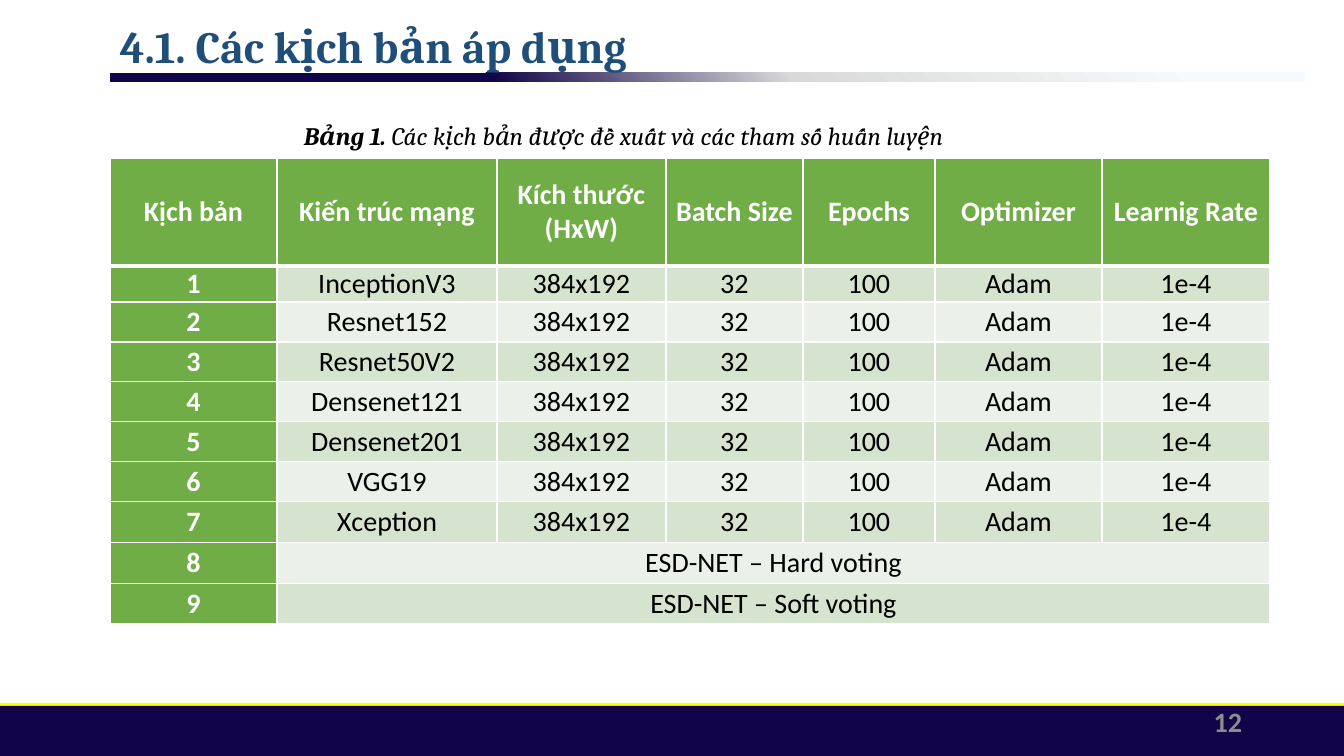
from lxml import etree
from pptx import Presentation, util as u
from pptx.dml.color import RGBColor
from pptx.enum import shapes, text
from pptx.oxml import parse_xml
from pptx.oxml.ns import qn

# Content
TITLE = "4.1. Các kịch bản áp dụng"
CAPTION = ("Bảng 1. ", "Các kịch bản được đề xuất và các tham số huấn luyện")
PAGE_NUMBER = "12"
HEADER = ["Kịch bản", "Kiến trúc mạng", "Kích thước\n(HxW)", "Batch Size",
          "Epochs", "Optimizer", "Learnig Rate"]
NETWORKS = ["InceptionV3", "Resnet152", "Resnet50V2", "Densenet121",
            "Densenet201", "VGG19", "Xception"]
TRAINING = ["384x192", "32", "100", "Adam", "1e-4"]
ENSEMBLES = ["ESD-NET – Hard voting", "ESD-NET – Soft voting"]

# Format values
COLORS = {"navy": "110448", "yellow": "FFFF00", "title": "1F4E79", "black": "000000",
          "white": "FFFFFF", "page": "8C8C8C", "green": "70AD47",
          "band": "D5E3CF", "light band": "EBF1E9"}
RULE_STOPS = [(9, "F7FAFD"), (43, "D9D9D9"), (68, COLORS["navy"]), (100, COLORS["navy"])]
TITLE_FONT = dict(name="Cambria", size=32, color="title", bold=True)
CAPTION_FONT = dict(name="Cambria", size=18, color="black", italic=True)
PAGE_FONT = dict(name="Calibri", size=20, color="page", bold=True)
HEAD_FONT = dict(name="Calibri", size=20, color="white", bold=True)
BODY_FONT = dict(name="Calibri", size=20, color="black", bold=False)

# Geometry in px
COLUMNS = [167, 220, 169, 137, 132, 167, 168]
ROWS = [108, 36, 40, 40, 40, 40, 40, 41, 41, 40]
LEFT, TABLE_TOP = 110, 158
CELL_INSET = 7


def px(length):
    return u.Emu(round(length * 914400 / 100.8))


def set_font(font, values):
    for name, value in values.items():
        if name == "color":
            font.color.rgb = RGBColor.from_string(COLORS[value])
        else:
            setattr(font, name, u.Pt(value) if name == "size" else value)


def add_bar(box, color):
    bar = slide.shapes.add_shape(shapes.MSO_SHAPE.RECTANGLE, *map(px, box))
    bar.shadow.inherit = False
    bar.line.fill.background()
    bar.fill.solid()
    bar.fill.fore_color.rgb = RGBColor.from_string(COLORS[color])
    return bar


def add_text(box, runs, align=text.PP_ALIGN.LEFT, anchor=text.MSO_ANCHOR.TOP, wrap=True):
    frame = slide.shapes.add_textbox(*map(px, box)).text_frame
    frame.word_wrap, frame.vertical_anchor = wrap, anchor
    paragraph = frame.paragraphs[0]
    paragraph.alignment = align
    for words, values in runs:
        run = paragraph.add_run()
        run.text = words
        set_font(run.font, values)
    return frame


def set_borders(cell, widths):
    properties = cell._tc.get_or_add_tcPr()
    for index, (side, width) in enumerate(widths.items()):
        line = etree.Element(qn(f"a:ln{side}"), w=str(u.Pt(width)))
        fill = etree.SubElement(line, qn("a:solidFill"))
        etree.SubElement(fill, qn("a:srgbClr"), val=COLORS["white"])
        properties.insert(index, line)


def fill_cell(cell, words, fill, font, widths):
    cell.margin_left = cell.margin_right = px(CELL_INSET)
    cell.margin_top = cell.margin_bottom = 0
    cell.vertical_anchor = text.MSO_ANCHOR.MIDDLE
    cell.text = words
    for paragraph in cell.text_frame.paragraphs:
        paragraph.alignment = text.PP_ALIGN.CENTER
        for run in paragraph.runs:
            set_font(run.font, font)
    cell.fill.solid()
    cell.fill.fore_color.rgb = RGBColor.from_string(COLORS[fill])
    set_borders(cell, widths)


presentation = Presentation()
presentation.slide_width, presentation.slide_height = px(1344), px(756)
slide = presentation.slides.add_slide(presentation.slide_layouts[6])

# Footer bars and title rule
add_bar((0, 703, 1344, 7), "yellow")
add_bar((0, 706, 1344, 50), "navy")
rule = add_bar((LEFT, 73, 1195, 9), "navy")
stops = "".join(f'<a:gs pos="{position * 1000}"><a:srgbClr val="{color}"/></a:gs>'
                for position, color in RULE_STOPS)
gradient = parse_xml(
    '<a:gradFill xmlns:a="http://schemas.openxmlformats.org/drawingml/2006/main">'
    f'<a:gsLst>{stops}</a:gsLst><a:path path="circle">'
    '<a:fillToRect l="100000" b="100000"/></a:path></a:gradFill>')
solid = rule._element.spPr.find(qn("a:solidFill"))
rule._element.spPr.replace(solid, gradient)

# Title, caption and page number
title = add_text((LEFT, 20, 1110, 49), [(TITLE, TITLE_FONT)])
title.paragraphs[0].line_spacing = 0.9
add_text((294, 115, 671, 40),
         [(words, {**CAPTION_FONT, "bold": bold})
          for words, bold in zip(CAPTION, (True, False))], wrap=False)
add_text((950, 701, 302, 40), [(PAGE_NUMBER, PAGE_FONT)],
         text.PP_ALIGN.RIGHT, text.MSO_ANCHOR.MIDDLE)

# Scenario table
bodies = [[network, *TRAINING] for network in NETWORKS] + [[name] for name in ENSEMBLES]
rows = [HEADER] + [[str(number), *body] for number, body in enumerate(bodies, 1)]
table = slide.shapes.add_table(len(ROWS), len(COLUMNS), px(LEFT), px(TABLE_TOP),
                               px(sum(COLUMNS)), px(sum(ROWS))).table
for column, width in zip(table.columns, COLUMNS):
    column.width = px(width)
for row, height in zip(table.rows, ROWS):
    row.height = px(height)
for r, values in enumerate(rows):
    widths = {"L": 1, "R": 1, "T": 3 if r == 1 else 1, "B": 3 if r == 0 else 1}
    band = "band" if r % 2 else "light band"
    if len(values) < len(COLUMNS):
        table.cell(r, 1).merge(table.cell(r, len(COLUMNS) - 1))
    for c, words in enumerate(values):
        heading = r == 0 or c == 0
        fill_cell(table.cell(r, c), words, "green" if heading else band,
                  HEAD_FONT if heading else BODY_FONT, widths)

presentation.save("out.pptx")
